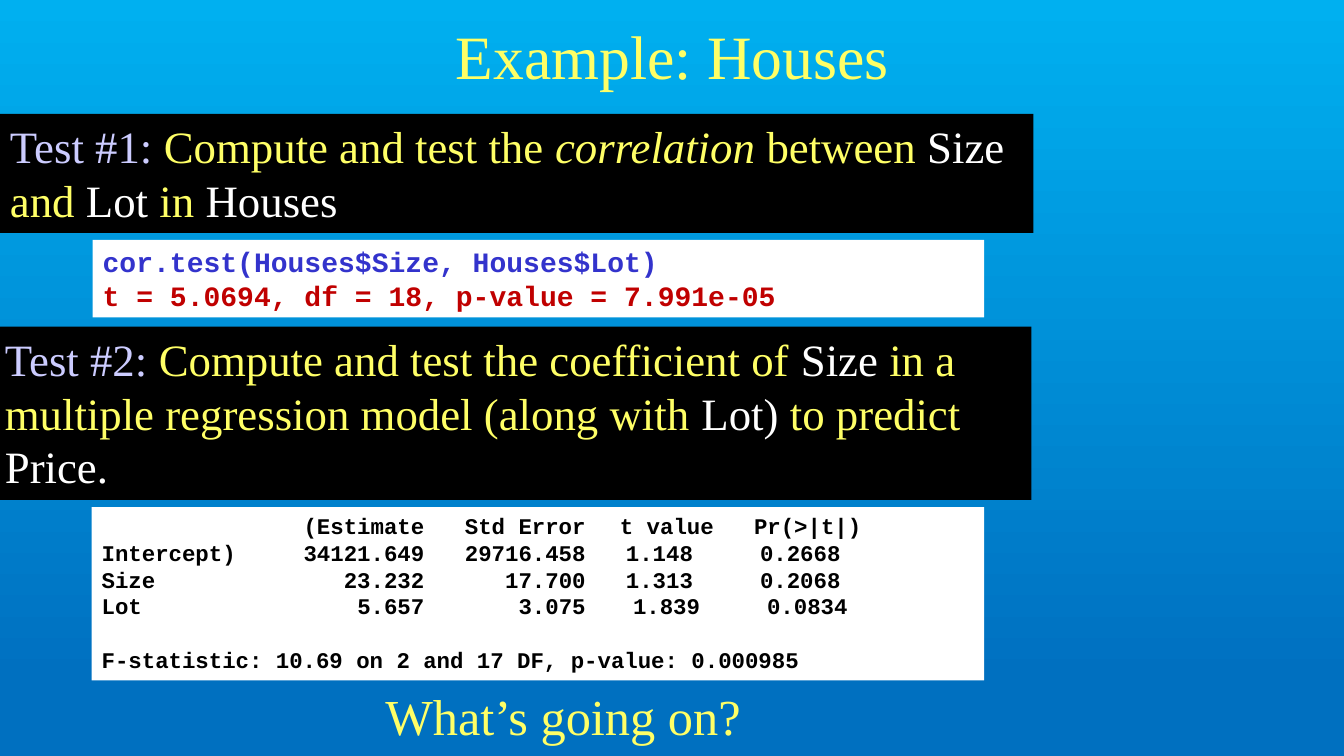
from pptx import Presentation
from pptx.dml.color import RGBColor
from pptx.enum.shapes import MSO_SHAPE
from pptx.enum.text import MSO_ANCHOR, PP_ALIGN
from pptx.oxml.ns import qn
from pptx.util import Inches, Pt
from lxml import etree

RECT = MSO_SHAPE.RECTANGLE
TOP, MIDDLE = MSO_ANCHOR.TOP, MSO_ANCHOR.MIDDLE
LEFT, CENTER = PP_ALIGN.LEFT, PP_ALIGN.CENTER
SERIF, MONO = "Times New Roman", "Courier New"
YELLOW, LILAC, WHITE, BLACK = "FFFF66", "CCCCFF", "FFFFFF", "000000"
BLUE, RED = "3333CC", "C00000"


def color(code):
    return RGBColor.from_string(code)


def style(font, name, size, code, bold=False):
    font.name, font.size, font.bold = name, Pt(size), bold
    font.color.rgb = color(code)


def add_box(slide, left, top, width, height, fill):
    box = slide.shapes.add_shape(RECT, Inches(left), Inches(top),
                                 Inches(width), Inches(height))
    box.shadow.inherit = False
    box.fill.solid()
    box.fill.fore_color.rgb = color(fill)
    box.line.fill.background()
    box.text_frame.word_wrap = True
    box.text_frame.vertical_anchor = TOP
    return box.text_frame


def add_test(slide, place, parts):
    """Black band with one paragraph of coloured parts."""
    para = add_box(slide, *place, BLACK).paragraphs[0]
    para.alignment = LEFT
    for text, code in parts:
        run = para.add_run()
        run.text = text
        style(run.font, SERIF, 32, code)
        run.font.italic = text.startswith("correlation")


def add_code(slide, place, lines, size):
    """White panel with one paragraph for each line of output."""
    frame = add_box(slide, *place, WHITE)
    frame.text = "\n".join(text for text, code in lines)
    for para, (text, code) in zip(frame.paragraphs, lines):
        para.alignment = LEFT
        style(para.runs[0].font, MONO, size, code, True)
    return frame.paragraphs


def set_tabs(para, stops):
    tabs = etree.SubElement(para._p.get_or_add_pPr(), qn("a:tabLst"))
    for pos, side in stops:
        etree.SubElement(tabs, qn("a:tab"), pos=str(Inches(pos)), algn=side)


def set_back(slide):
    fill = slide.background.fill
    fill.gradient()
    fill.gradient_angle = 270
    for stop, pos, code in zip(fill.gradient_stops, (0, 0.9),
                               ("00B0F0", "0070C0")):
        stop.position = pos
        stop.color.rgb = color(code)


def add_title(slide, text):
    title = slide.shapes.title
    title.left, title.top = Inches(2.42), Inches(-0.08)
    title.width, title.height = Inches(8.5), Inches(1.25)
    title.text_frame.text = text
    title.text_frame.vertical_anchor = MIDDLE
    para = title.text_frame.paragraphs[0]
    para.alignment = CENTER
    style(para.runs[0].font, SERIF, 44, YELLOW)


def add_ask(slide, text):
    box = slide.shapes.add_textbox(Inches(1.96), Inches(6.75),
                                   Inches(7.25), Inches(0.7))
    box.text_frame.word_wrap = True
    box.text_frame.text = text
    para = box.text_frame.paragraphs[0]
    para.alignment = CENTER
    style(para.runs[0].font, SERIF, 36, YELLOW)


def main():
    prs = Presentation()
    prs.slide_width, prs.slide_height = Inches(13.33), Inches(7.5)
    slide = prs.slides.add_slide(prs.slide_layouts[5])
    set_back(slide)
    add_title(slide, "Example: Houses")

    # The two tests
    add_test(slide, (0, 1.13, 10.25, 1.18), [
        ("Test #1:", LILAC), (" Compute and test the ", YELLOW),
        ("correlation ", YELLOW), ("between ", YELLOW), ("Size", WHITE),
        (" and ", YELLOW), ("Lot", WHITE), (" in ", YELLOW),
        ("Houses", WHITE)])
    add_test(slide, (-0.05, 3.24, 10.28, 1.72), [
        ("Test #2:", LILAC),
        (" Compute and test the coefficient of ", YELLOW), ("Size", WHITE),
        (" in a multiple regression model (along with ", YELLOW),
        ("Lot)", WHITE), (" to predict ", YELLOW), ("Price.", WHITE)])
    add_ask(slide, "What’s going on?")

    # Correlation output
    add_code(slide, (0.92, 2.38, 8.84, 0.77), [
        ("cor.test(Houses$Size, Houses$Lot)", BLUE),
        ("t = 5.0694, df = 18, p-value = 7.991e-05", RED)], 20)

    # Regression output: cells, then where the t value starts
    rows = [
        (("", "(Estimate", "Std Error", "t value", "Pr(>|t|)"), 5.14),
        (("Intercept)", "34121.649", "29716.458", "1.148", "0.2668"), 5.2),
        (("Size", "23.232", "17.700", "1.313", "0.2068"), 5.2),
        (("Lot", "5.657", "3.075", "1.839", "0.0834"), 5.27)]
    lines = [("\t".join(cells), BLACK) for cells, start in rows]
    lines.append(("F-statistic: 10.69 on 2 and 17 DF, p-value: 0.000985",
                  BLACK))
    paras = add_code(slide, (0.91, 5.03, 8.85, 1.72), lines, 16)
    for para, (cells, start) in zip(paras, rows):
        set_tabs(para, [(3.2, "r"), (4.8, "r"), (start, "l"),
                        (start + 1.33, "l")])
    paras[-1].space_before = Pt(19)

    prs.save("out.pptx")


main()
